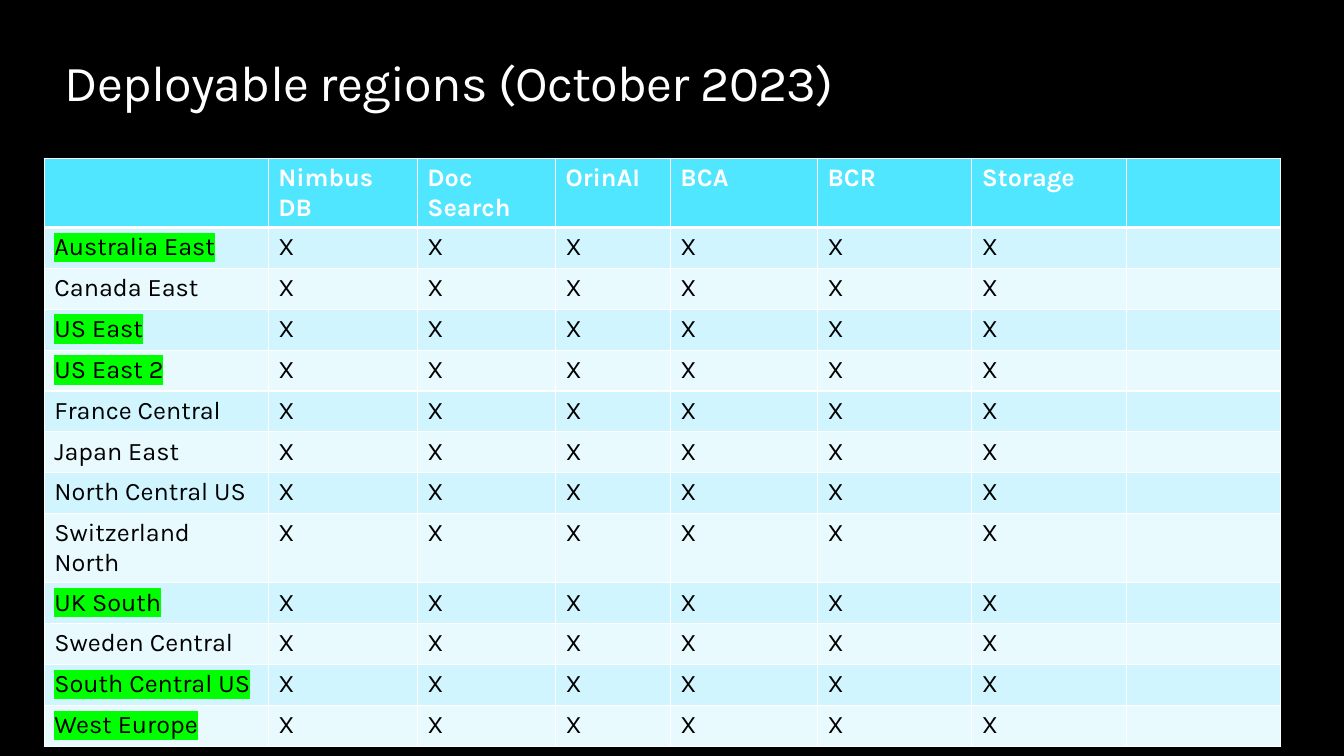
"""Build the slide listing deployable regions by service."""
from lxml import etree
from pptx import Presentation
from pptx.dml.color import RGBColor
from pptx.enum.text import MSO_ANCHOR, PP_ALIGN
from pptx.oxml.ns import qn
from pptx.util import Inches, Pt

MIDDLE = MSO_ANCHOR.MIDDLE
LEFT = PP_ALIGN.LEFT

TITLE = "Deployable regions (October 2023)"
SERVICES = ["Nimbus DB", "Doc Search", "OrinAI", "BCA", "BCR", "Storage"]
REGIONS = [
    ("Australia East", True),
    ("Canada East", False),
    ("US East", True),
    ("US East 2", True),
    ("France Central", False),
    ("Japan East", False),
    ("North Central US", False),
    ("Switzerland North", False),
    ("UK South", True),
    ("Sweden Central", False),
    ("South Central US", True),
    ("West Europe", True),
]
MARK = "X"
COLUMN_WIDTHS = [2.22, 1.48, 1.37, 1.14, 1.46, 1.53, 1.53, 1.53]
TABLE_LEFT, TABLE_TOP, TABLE_HEIGHT = 0.44, 1.57, 5.27

THEME = {
    "font": "Karla",
    "background": "000000",
    "title": "FFFFFF",
    "header_text": "FFFFFF",
    "body_text": "000000",
    "header_fill": "50E6FF",
    "bands": ["D0F5FF", "E9FAFF"],
    "highlight": "00FF00",
    "border": "FFFFFF",
    "title_size": 36,
    "table_size": 18,
    "thin": 1,
    "thick": 3,
}


def format_run(run, size, color, bold=False):
    run.font.color.rgb = RGBColor.from_string(color)
    values = {"name": THEME["font"], "size": Pt(size), "bold": bold}
    for name, value in values.items():
        setattr(run.font, name, value)


def highlight_run(run):
    highlight = etree.Element(qn("a:highlight"))
    etree.SubElement(highlight, qn("a:srgbClr"), val=THEME["highlight"])
    run.font._element.find(qn("a:solidFill")).addnext(highlight)


def add_borders(cell, row_index):
    properties = cell._tc.get_or_add_tcPr()
    heavy_edge = {0: "lnB", 1: "lnT"}.get(row_index)
    for edge in ("lnL", "lnR", "lnT", "lnB"):
        width = THEME["thick"] if edge == heavy_edge else THEME["thin"]
        line = etree.SubElement(properties, qn(f"a:{edge}"), w=str(Pt(width)))
        fill = etree.SubElement(line, qn("a:solidFill"))
        etree.SubElement(fill, qn("a:srgbClr"), val=THEME["border"])


def fill_cell(cell, text, row_index, highlighted):
    is_header = row_index == 0
    fill_color = THEME["header_fill"] if is_header else THEME["bands"][(row_index - 1) % 2]
    add_borders(cell, row_index)
    cell.fill.solid()
    cell.fill.fore_color.rgb = RGBColor.from_string(fill_color)
    if text:
        run = cell.text_frame.paragraphs[0].add_run()
        run.text = text
        color = THEME["header_text"] if is_header else THEME["body_text"]
        format_run(run, THEME["table_size"], color, is_header)
        if highlighted:
            highlight_run(run)


def add_title(slide):
    title = slide.shapes.title
    box = {"left": 0.64, "top": 0.5, "width": 12.05, "height": 0.61}
    for name, value in box.items():
        setattr(title, name, Inches(value))
    frame = title.text_frame
    frame_values = {"margin_left": 0, "margin_top": 0, "margin_right": 0,
                    "margin_bottom": 0, "vertical_anchor": MIDDLE, "word_wrap": True}
    for name, value in frame_values.items():
        setattr(frame, name, value)
    paragraph = frame.paragraphs[0]
    paragraph.alignment = LEFT
    run = paragraph.add_run()
    run.text = TITLE
    format_run(run, THEME["title_size"], THEME["title"])
    run.font._element.set("spc", "-50")


def add_region_table(slide):
    rows = [("", *SERVICES, "")]
    rows += [(region, *[MARK] * len(SERVICES), "") for region, _ in REGIONS]
    highlighted_regions = {region for region, highlighted in REGIONS if highlighted}
    table = slide.shapes.add_table(
        len(rows), len(COLUMN_WIDTHS), Inches(TABLE_LEFT), Inches(TABLE_TOP),
        Inches(sum(COLUMN_WIDTHS)), Inches(TABLE_HEIGHT),
    ).table
    table.horz_banding = False
    for column, width in zip(table.columns, COLUMN_WIDTHS):
        column.width = Inches(width)
    for row_index, row in enumerate(rows):
        for column_index, text in enumerate(row):
            cell = table.cell(row_index, column_index)
            fill_cell(cell, text, row_index, text in highlighted_regions)


def main():
    presentation = Presentation()
    presentation.slide_width = Inches(13.33)
    presentation.slide_height = Inches(7.5)
    slide = presentation.slides.add_slide(presentation.slide_layouts[5])
    slide.background.fill.solid()
    slide.background.fill.fore_color.rgb = RGBColor.from_string(THEME["background"])
    add_title(slide)
    add_region_table(slide)
    presentation.save("out.pptx")


if __name__ == "__main__":
    main()
